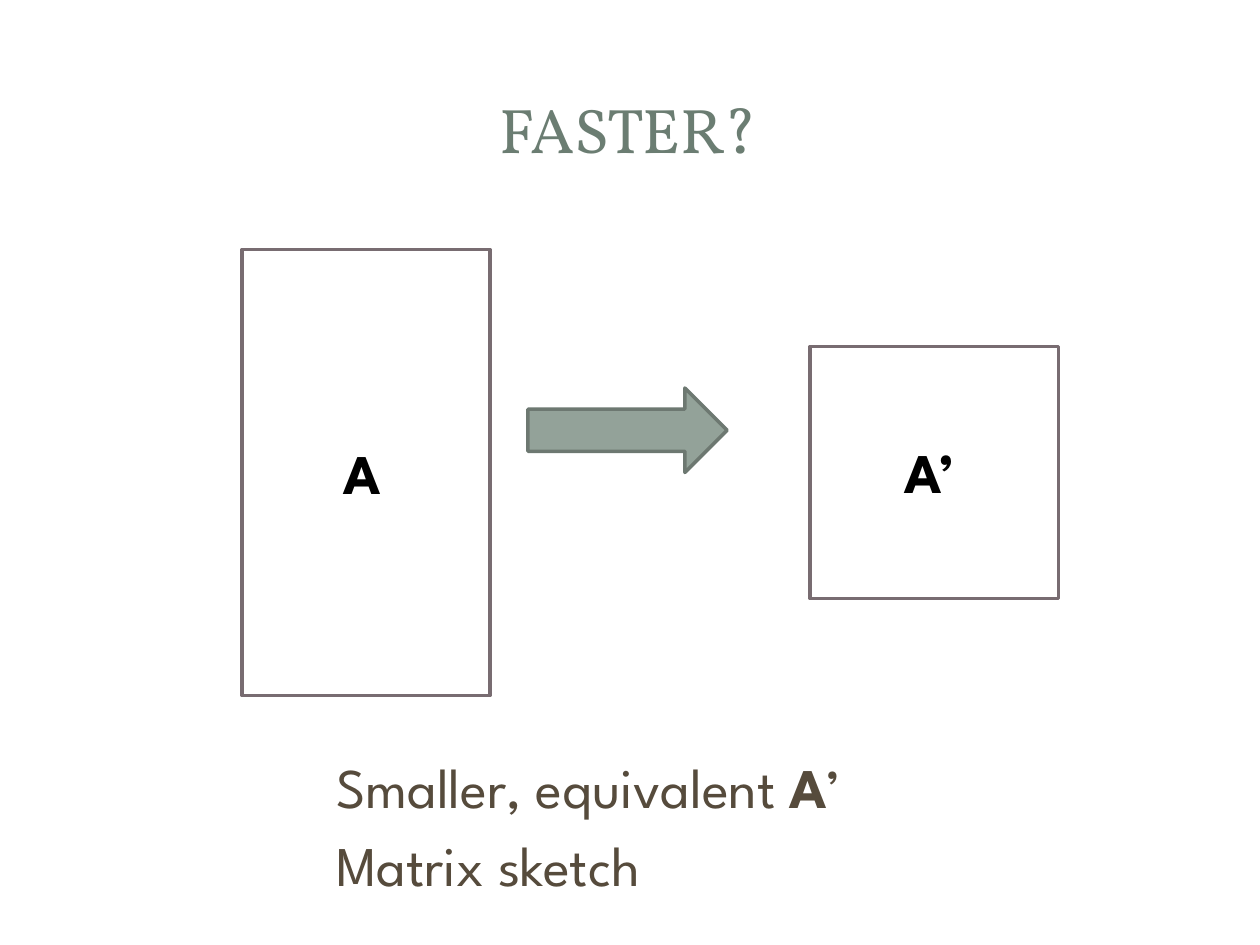
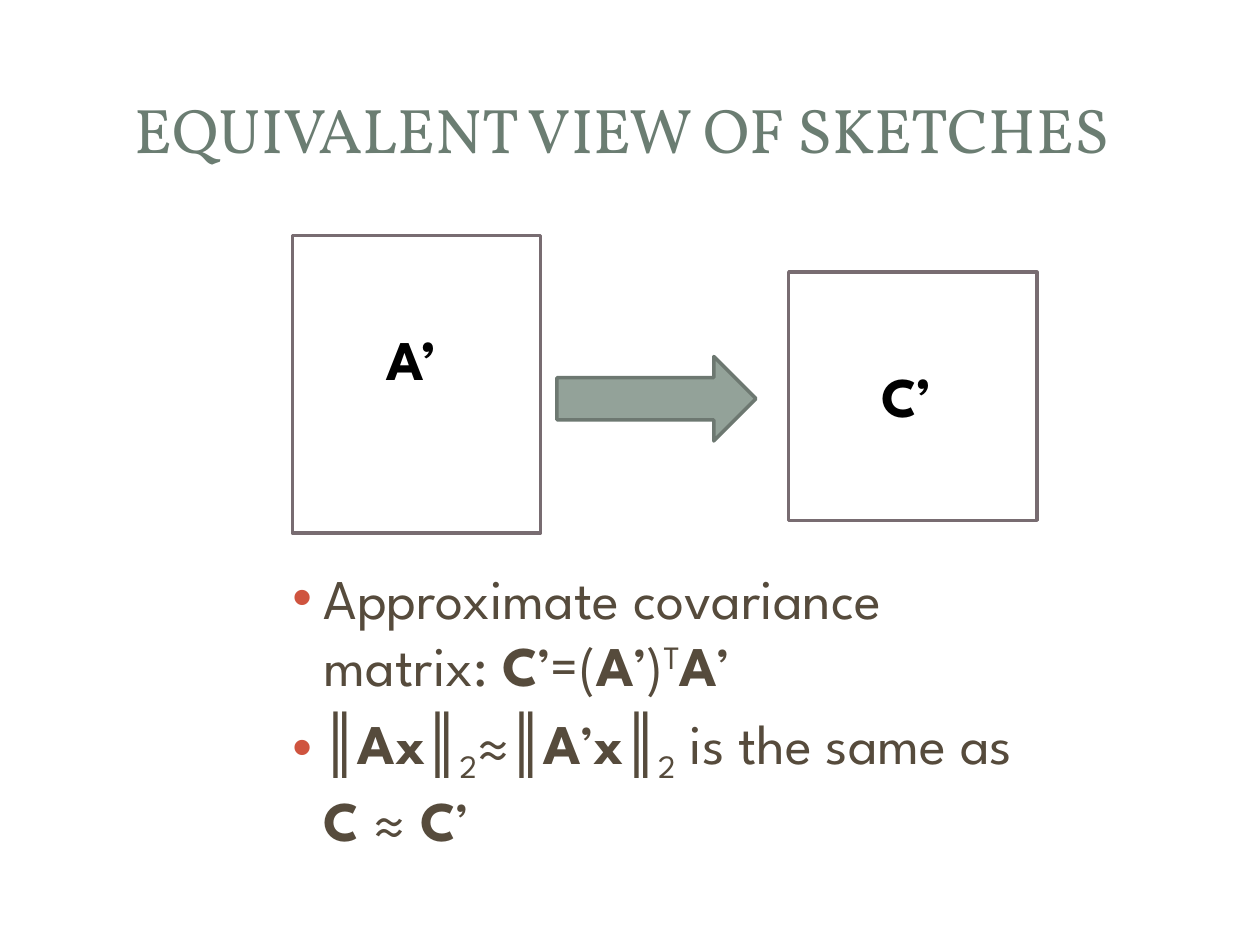
from lxml.etree import SubElement
from pptx import Presentation
from pptx.dml.color import RGBColor
from pptx.enum.shapes import MSO_SHAPE as Preset
from pptx.enum.text import MSO_ANCHOR as Anchor, MSO_AUTO_SIZE as AutoSize, PP_ALIGN as Align
from pptx.oxml.ns import qn
from pptx.util import Pt

PX = 9144
SAGE = RGBColor(0x6B, 0x7D, 0x72)
ARROW_FILL = RGBColor(0x93, 0xA2, 0x99)
ARROW_EDGE = RGBColor(0x6D, 0x78, 0x71)
MATRIX_EDGE = RGBColor(0x78, 0x6C, 0x71)
BROWN = RGBColor(0x56, 0x4B, 0x3C)
BLACK = RGBColor(0, 0, 0)
WHITE = RGBColor(0xFF, 0xFF, 0xFF)
BULLET = "CF543F"
TITLE_FONT = "Vollkorn"
TEXT_FONT = "League Spartan"
TITLE_ONLY, TITLE_AND_BODY = 5, 1
BACKDROP = [
    (Preset.ROUNDED_RECTANGLE, (10, 11, 980, 729), 100),
    (Preset.RECTANGLE, (30, 30, 940, 145), 83),
    (Preset.RECTANGLE, (41, 41, 917, 122), 100),
]


def add_run(paragraph, text, style="", color=BROWN, name=TEXT_FONT, size=32):
    run = paragraph.add_run()
    run.text = text
    font = run.font
    font.name, font.size, font.bold = name, Pt(size), style == "bold"
    font.color.rgb = color
    if style in ("super", "sub"):
        font._element.set("baseline", "30000" if style == "super" else "-25000")


def fill_list(frame, paragraphs, margin, indent, bulleted):
    frame.word_wrap = True
    frame.auto_size = AutoSize.NONE
    for index, runs in enumerate(paragraphs):
        paragraph = frame.add_paragraph() if index else frame.paragraphs[0]
        props = paragraph._p.get_or_add_pPr()
        props.set("marL", str(margin * PX))
        props.set("indent", str(indent * PX))
        if bulleted:
            paragraph.level = 1
            color = SubElement(props, qn("a:buClr"))
            SubElement(color, qn("a:srgbClr"), val=BULLET)
            SubElement(props, qn("a:buFont"), typeface="Arial")
            SubElement(props, qn("a:buChar"), char="•")
        paragraph.space_before = Pt(6.4 if index else 0)
        for text, style in runs:
            add_run(paragraph, text, style)


SLIDES = [
    dict(
        title="FASTER?",
        layout=TITLE_ONLY,
        arrow=(419, 308),
        matrices=[("A’", (643, 275, 197, 200), (708, 342, 67)),
                  ("A", (192, 198, 197, 354), (263, 343, 54))],
        list_box=(245, 592, 507, 131),
        margin=12,
        indent=0,
        points=[
            [("Smaller, equivalent ", ""), ("A", "bold"), ("’", "")],
            [("Matrix sketch", "")],
        ],
    ),
    dict(
        title="EQUIVALENT VIEW OF SKETCHES ",
        layout=TITLE_AND_BODY,
        arrow=(442, 283),
        matrices=[("C’", (626, 216, 197, 197), (690, 282, 69)),
                  ("A’", (232, 187, 197, 236), (297, 253, 67))],
        list_box=(177, 442, 643, 249),
        margin=70,
        indent=-25,
        points=[
            [("Approximate covariance matrix: ", ""), ("C", "bold"), ("’=(", ""),
             ("A", "bold"), ("’)", ""), ("T", "super"), ("A", "bold"), ("’", "")],
            [("║", ""), ("Ax", "bold"), ("║", ""), ("2", "sub"), ("≈║", ""),
             ("A", "bold"), ("’", ""), ("x", "bold"), ("║", ""), ("2", "sub"),
             (" is the same as ", ""), ("C", "bold"), (" ≈ ", ""),
             ("C", "bold"), ("’", "")],
        ],
    ),
]

deck = Presentation()
deck.slide_width, deck.slide_height = 1000 * PX, 750 * PX
master_tree = deck.slide_master.shapes._spTree

for content in SLIDES:
    slide = deck.slides.add_slide(deck.slide_layouts[content["layout"]])
    shapes = slide.shapes

    if content is SLIDES[0]:
        for index, (preset, box, opacity) in enumerate(BACKDROP):
            panel = shapes.add_shape(preset, *(n * PX for n in box))
            panel.shadow.inherit = False
            panel.fill.solid()
            panel.fill.fore_color.rgb = WHITE
            panel.line.fill.background()
            if preset == Preset.ROUNDED_RECTANGLE:
                panel.adjustments[0] = 0.017
            if opacity < 100:
                tint = panel._element.spPr.find(qn("a:solidFill"))[0]
                SubElement(tint, qn("a:alpha"), val=str(opacity * 1000))
            panel._element.nvSpPr.cNvPr.set("id", str(101 + index))
            master_tree.insert(2 + index, panel._element)

    title = shapes.title
    title.left, title.top, title.width, title.height = (n * PX for n in (47, 45, 903, 114))
    title.text_frame.vertical_anchor = Anchor.MIDDLE
    title.text_frame.auto_size = AutoSize.NONE
    heading = title.text_frame.paragraphs[0]
    heading.alignment = Align.CENTER
    add_run(heading, content["title"], color=SAGE, name=TITLE_FONT, size=36)

    list_box = [n * PX for n in content["list_box"]]
    bulleted = content["layout"] == TITLE_AND_BODY
    if bulleted:
        points = slide.placeholders[1]
        points.left, points.top, points.width, points.height = list_box
    else:
        points = shapes.add_textbox(*list_box)
    fill_list(points.text_frame, content["points"], content["margin"], content["indent"], bulleted)

    left, top = content["arrow"]
    arrow = shapes.add_shape(Preset.RIGHT_ARROW, left * PX, top * PX, 158 * PX, 67 * PX)
    arrow.shadow.inherit = False
    arrow.fill.solid()
    arrow.fill.fore_color.rgb = ARROW_FILL
    arrow.line.color.rgb = ARROW_EDGE
    arrow.line.width = Pt(2)

    for symbol, outline, (left, top, width) in content["matrices"]:
        matrix = shapes.add_shape(Preset.RECTANGLE, *(n * PX for n in outline))
        matrix.shadow.inherit = False
        matrix.fill.background()
        matrix.line.color.rgb = MATRIX_EDGE
        matrix.line.width = Pt(2)

        label = shapes.add_textbox(left * PX, top * PX, width * PX, 64 * PX)
        label.text_frame.word_wrap = False
        label.text_frame.auto_size = AutoSize.SHAPE_TO_FIT_TEXT
        add_run(label.text_frame.paragraphs[0], symbol, "bold", BLACK)

deck.save("out.pptx")
